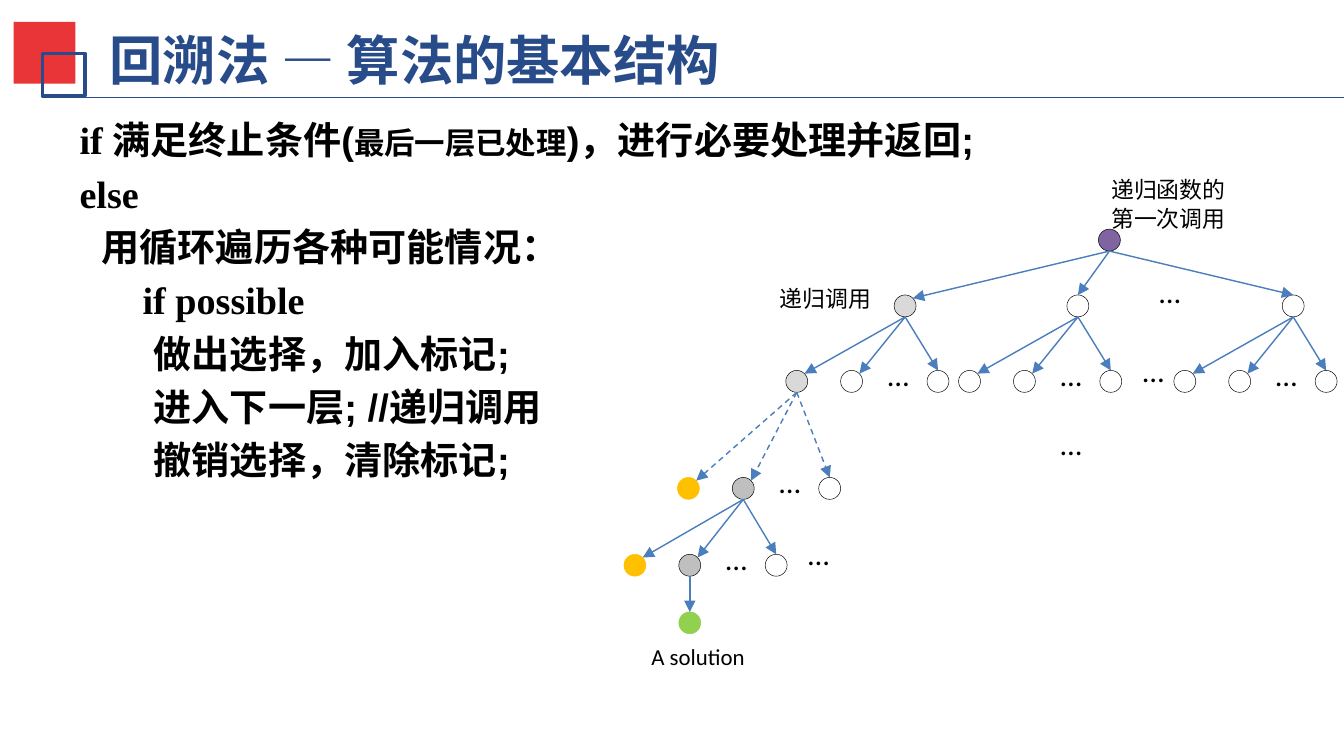
from dataclasses import dataclass
from lxml.etree import SubElement
from math import sqrt
from pptx import Presentation
from pptx.dml.color import RGBColor
from pptx.enum.dml import MSO_LINE as Dash
from pptx.enum.shapes import MSO_CONNECTOR as Link, MSO_SHAPE as Shape
from pptx.enum.text import MSO_ANCHOR as Anchor, MSO_AUTO_SIZE as AutoSize, PP_ALIGN as Align
from pptx.oxml.ns import qn
from pptx.util import Inches, Pt


@dataclass(frozen=True)
class Theme:
    navy: str = "284C8A"
    red: str = "E93538"
    black: str = "000000"
    edge: str = "4B7EBC"
    root: str = "8064A2"
    visited: str = "D9D9D9"
    deeper: str = "BFBFBF"
    rejected: str = "FFC000"
    solved: str = "92D050"
    serif: str = "Times New Roman"
    sans: str = "Arial"
    label: str = "Calibri"
    title_size: int = 28
    code_size: int = 20
    note_size: int = 16
    label_size: int = 12
    leading: int = 15


@dataclass(frozen=True)
class Box:
    left: float
    top: float
    width: float
    height: float

    def inches(self):
        return [Inches(v) for v in (self.left, self.top, self.width, self.height)]

    def at(self, x, y):
        return self.left + x, self.top + y

    def inner(self, x, y, width, height):
        return Box(*self.at(x, y), width, height)


theme = Theme()
RADIUS = 0.08
DIAGONAL = RADIUS / sqrt(2)
LEVELS = [0.52, 1.0, 1.55, 2.33, 2.89, 3.31]
FAN = [-0.79, -0.39, 0.24]
FAN_DOTS = (-0.05, -0.02)

CODE = [
    (0.08, [("if ", theme.serif, theme.code_size),
            ("满足终止条件(", theme.sans, theme.code_size),
            ("最后一层已处理", theme.sans, theme.note_size),
            (")，进行必要处理并返回;", theme.sans, theme.code_size)]),
    (0.08, [("else", theme.serif, theme.code_size)]),
    (0.24, [("用循环遍历", theme.serif, theme.code_size),
            ("各种可能情况：", theme.sans, theme.code_size)]),
    (0.54, [("if possible", theme.serif, theme.code_size)]),
    (0.62, [("做出选择，加入标记;", theme.sans, theme.code_size)]),
    (0.62, [("进入下一层; //递归调用", theme.sans, theme.code_size)]),
    (0.62, [("撤销选择，清除标记;", theme.sans, theme.code_size)]),
]


def color(code):
    return RGBColor.from_string(code)


def add_span(para, text, font, size, ink=theme.black, bold=False):
    span = para.add_run()
    span.text = text
    span.font.name = font
    span.font.size = Pt(size)
    span.font.bold = bold
    span.font.color.rgb = color(ink)


def set_frame(frame, anchor, side=0.0, edge=0.0):
    frame.word_wrap = True
    frame.auto_size = AutoSize.NONE
    frame.vertical_anchor = anchor
    frame.margin_left = frame.margin_right = Inches(side)
    frame.margin_top = frame.margin_bottom = Inches(edge)


def place(shape, box):
    shape.left, shape.top, shape.width, shape.height = box.inches()


def add_figure(page, kind, box, fill=None, line=None, weight=0.25):
    figure = page.shapes.add_shape(kind, *box.inches())
    figure.shadow.inherit = False
    if fill:
        figure.fill.solid()
        figure.fill.fore_color.rgb = color(fill)
    else:
        figure.fill.background()
    if line:
        figure.line.color.rgb = color(line)
        figure.line.width = Pt(weight)
    else:
        figure.line.fill.background()
    return figure


def add_line(page, start, end, ink, arrow=False, dashed=False):
    line = page.shapes.add_connector(Link.STRAIGHT, *[Inches(v) for v in (*start, *end)])
    line.line.color.rgb = color(ink)
    line.line.width = Pt(0.75)
    if dashed:
        line.line.dash_style = Dash.DASH
    properties = line._element.spPr
    if arrow:
        SubElement(properties.get_or_add_ln(), qn("a:tailEnd"), type="triangle")
    SubElement(properties, qn("a:effectLst"))
    return line


def add_header(page, box):
    add_figure(page, Shape.RECTANGLE, box.inner(0.1, 0.16, 0.45, 0.45), theme.red)
    add_figure(page, Shape.RECTANGLE, box.inner(0.31, 0.39, 0.31, 0.31), line=theme.navy, weight=2)
    add_line(page, box.at(0.38, 0.71), box.at(box.width, 0.71), theme.navy)
    title = page.shapes.title
    place(title, box.inner(0.73, 0.16, 6.91, 0.55))
    set_frame(title.text_frame, Anchor.MIDDLE, 0.07, 0.04)
    para = title.text_frame.paragraphs[0]
    para.alignment = Align.LEFT
    add_span(para, "回溯法 — 算法的基本结构", theme.serif, theme.title_size, theme.navy, True)


def add_code(page, box):
    body = page.placeholders[1]
    place(body, box)
    frame = body.text_frame
    set_frame(frame, Anchor.TOP, 0.09, 0.04)
    for index, (indent, spans) in enumerate(CODE):
        para = frame.add_paragraph() if index else frame.paragraphs[0]
        properties = para._p.get_or_add_pPr()
        properties.set("marL", str(Inches(indent)))
        properties.set("indent", "0")
        SubElement(properties, qn("a:buNone"))
        for text, font, size in spans:
            add_span(para, text, font, size, bold=True)


def add_label(page, center, width, height, lines, size=theme.label_size):
    x, y = center
    box = Box(x - width / 2, y - height / 2, width, height)
    frame = page.shapes.add_textbox(*box.inches()).text_frame
    set_frame(frame, Anchor.MIDDLE)
    for index, text in enumerate(lines):
        para = frame.add_paragraph() if index else frame.paragraphs[0]
        para.alignment = Align.CENTER
        para.line_spacing = Pt(theme.leading)
        add_span(para, text, theme.label, size)


def add_dots(page, center):
    add_label(page, center, 0.24, 0.16, ["…"], theme.note_size)


def add_node(page, center, fill=None):
    x, y = center
    box = Box(x - RADIUS, y - RADIUS, 2 * RADIUS, 2 * RADIUS)
    outline = fill if fill in (theme.rejected, theme.solved) else theme.black
    return add_figure(page, Shape.OVAL, box, fill, outline)


def add_branch(page, parent, center, fill=None, slanted=False, dashed=False):
    node = add_node(page, center, fill)
    x, y = center
    end = (x + DIAGONAL, y - DIAGONAL) if slanted else (x, y - RADIUS)
    line = add_line(page, (parent[0], parent[1] + RADIUS), end, theme.edge, True, dashed)
    if not slanted:
        line.end_connect(node, 0)


def add_fan(page, box, parent_x, level, fills=(None, None, None), dashed=False):
    parent = box.at(parent_x, LEVELS[level])
    for offset, fill in zip(FAN, fills):
        child = box.at(parent_x + offset, LEVELS[level + 1])
        add_branch(page, parent, child, fill, offset < 0, dashed)
    add_dots(page, box.at(parent_x + FAN_DOTS[0], LEVELS[level + 1] + FAN_DOTS[1]))


def add_tree(page, box):
    root = box.at(3.54, LEVELS[0])
    add_node(page, root, theme.root)
    for x, fill in ((2.05, theme.visited), (3.31, None), (4.88, None)):
        add_branch(page, root, box.at(x, LEVELS[1]), fill, bool(fill))
        add_fan(page, box, x, 1, (fill, None, None))
    trail = (theme.rejected, theme.deeper, None)
    add_fan(page, box, 2.05 + FAN[0], 2, trail, dashed=True)
    add_fan(page, box, 2.05 + FAN[0] + FAN[1], 3, trail)
    leaf_x = 2.05 + FAN[0] + 2 * FAN[1]
    add_branch(page, box.at(leaf_x, LEVELS[4]), box.at(leaf_x, LEVELS[5]), theme.solved)
    for x, y in ((3.98, 0.92), (3.86, 1.5), (3.26, 2.03), (1.42, 2.83)):
        add_dots(page, box.at(x, y))
    add_label(page, box.at(3.97, 0.25), 1.19, 0.49, ["递归函数的", "第一次调用"])
    add_label(page, box.at(1.47, 0.94), 0.93, 0.29, ["递归调用"])
    add_label(page, box.at(0.54, 3.55), 1.02, 0.37, ["A solution"])


def main():
    deck = Presentation()
    deck.slide_width, deck.slide_height = Inches(9.8), Inches(5.51)
    page = deck.slides.add_slide(deck.slide_layouts[1])
    add_header(page, Box(0, 0, 9.8, 0.8))
    add_code(page, Box(0.41, 0.81, 7.64, 4.15))
    add_tree(page, Box(4.55, 1.23, 5.2, 3.73))
    deck.save("out.pptx")


if __name__ == "__main__":
    main()
